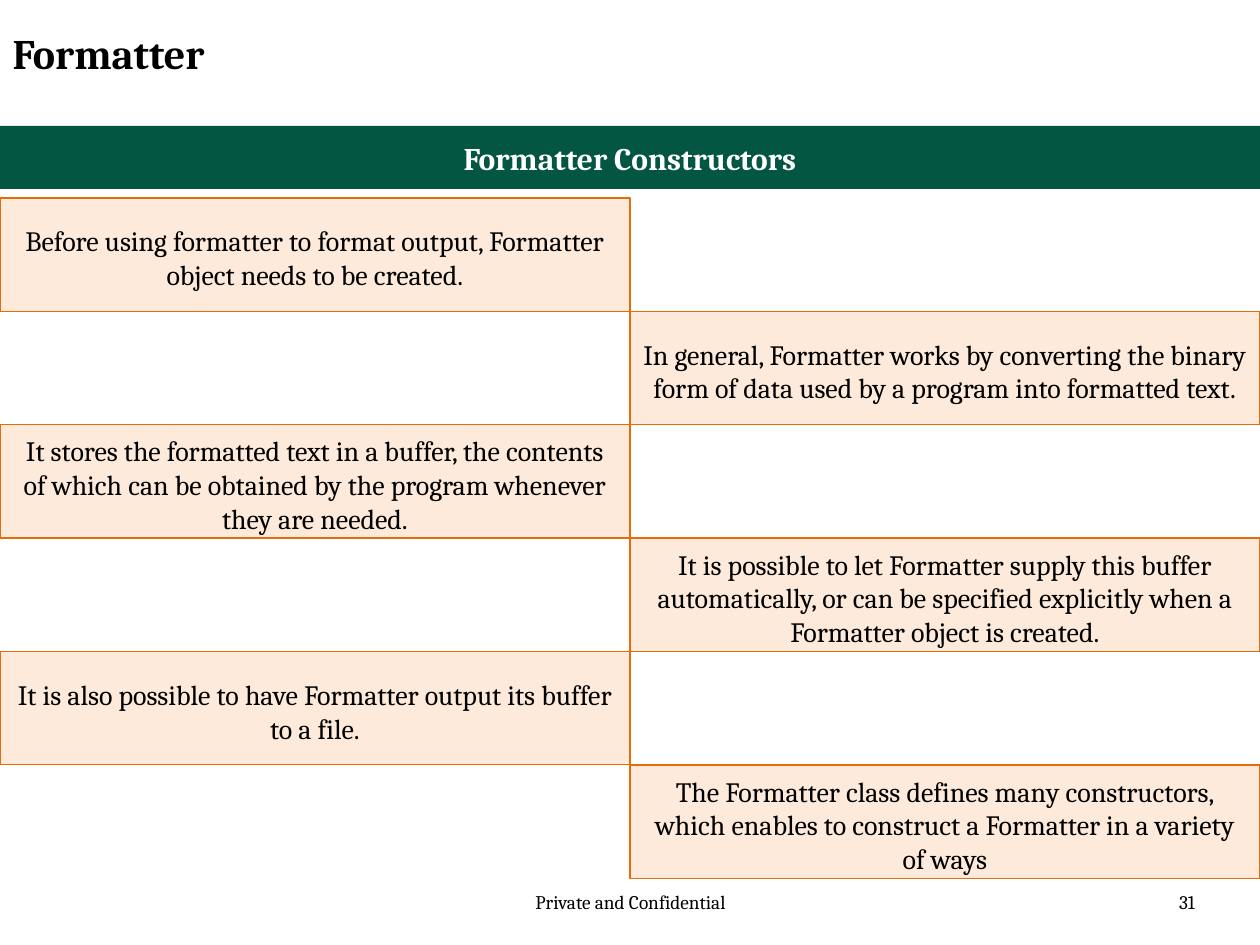
from pptx import Presentation
from pptx.dml.color import RGBColor
from pptx.enum.shapes import MSO_SHAPE
from pptx.enum.text import MSO_ANCHOR, PP_ALIGN
from pptx.util import Cm, Pt

RECT = MSO_SHAPE.RECTANGLE
TOP, MIDDLE = MSO_ANCHOR.TOP, MSO_ANCHOR.MIDDLE
LEFT, CENTER, RIGHT = PP_ALIGN.LEFT, PP_ALIGN.CENTER, PP_ALIGN.RIGHT

FONT = "Cambria"
BLACK, WHITE = "000000", "FFFFFF"
GREEN, PEACH, ORANGE = "035642", "FDEADA", "E46C0A"
WIDTH, HEIGHT = 25.4, 19.05
STEP_TOP, STEP_WIDTH, STEP_HEIGHT = 3.99, WIDTH / 2, 2.286

STEPS = [
    "Before using formatter to format output, Formatter object needs to be created.",
    "In general, Formatter works by converting the binary form of data used by a program into formatted text.",
    "It stores the formatted text in a buffer, the contents of which can be obtained by the program whenever they are needed.",
    "It is possible to let Formatter supply this buffer automatically, or can be specified explicitly when a Formatter object is created.",
    "It is also possible to have Formatter output its buffer to a file.",
    "The Formatter class defines many constructors, which enables to construct a Formatter in a variety of ways",
]


def rgb(value):
    return RGBColor.from_string(value)


def write(tf, text, size=16, color=BLACK, bold=False, align=CENTER, anchor=TOP):
    tf.word_wrap = True
    tf.vertical_anchor = anchor
    p = tf.paragraphs[0]
    p.alignment = align
    r = p.add_run()
    r.text = text
    r.font.name = FONT
    r.font.size = Pt(size)
    r.font.bold = bold
    r.font.color.rgb = rgb(color)


def add_title(s, text):
    sp = s.shapes.title
    sp.left, sp.top, sp.width, sp.height = Cm(0), Cm(0.43), Cm(19.25), Cm(1.57)
    write(sp.text_frame, text, size=24, bold=True, align=LEFT)


def add_box(s, text, x, y, w, h, fill, line=None, bottom=0.25, **fmt):
    sp = s.shapes.add_shape(RECT, Cm(x), Cm(y), Cm(w), Cm(h))
    sp.shadow.inherit = False
    sp.fill.solid()
    sp.fill.fore_color.rgb = rgb(fill)
    if line:
        sp.line.color.rgb = rgb(line)
        sp.line.width = Pt(0.75)
    else:
        sp.line.fill.background()
    tf = sp.text_frame
    tf.margin_left = tf.margin_right = tf.margin_top = Cm(0.25)
    tf.margin_bottom = Cm(bottom)
    write(tf, text, anchor=MIDDLE, **fmt)


def add_footer(s, text, x, w, align):
    sp = s.shapes.add_textbox(Cm(x), Cm(17.83), Cm(w), Cm(1.02))
    write(sp.text_frame, text, size=11, align=align)


def main():
    prs = Presentation()
    prs.slide_width, prs.slide_height = Cm(WIDTH), Cm(HEIGHT)
    s = prs.slides.add_slide(prs.slide_layouts[5])
    add_footer(s, "Private and Confidential", 8.69, 8.05, CENTER)
    add_footer(s, "31", 18.42, 5.92, RIGHT)
    add_title(s, "Formatter")
    add_box(s, "Formatter Constructors", 0, 2.54, WIDTH, 1.27, GREEN,
            size=18, color=WHITE, bold=True)
    for i, text in enumerate(STEPS):
        add_box(s, text, i % 2 * STEP_WIDTH, STEP_TOP + i * STEP_HEIGHT,
                STEP_WIDTH, STEP_HEIGHT, PEACH, line=ORANGE, bottom=0.13)
    prs.save("out.pptx")


if __name__ == "__main__":
    main()
